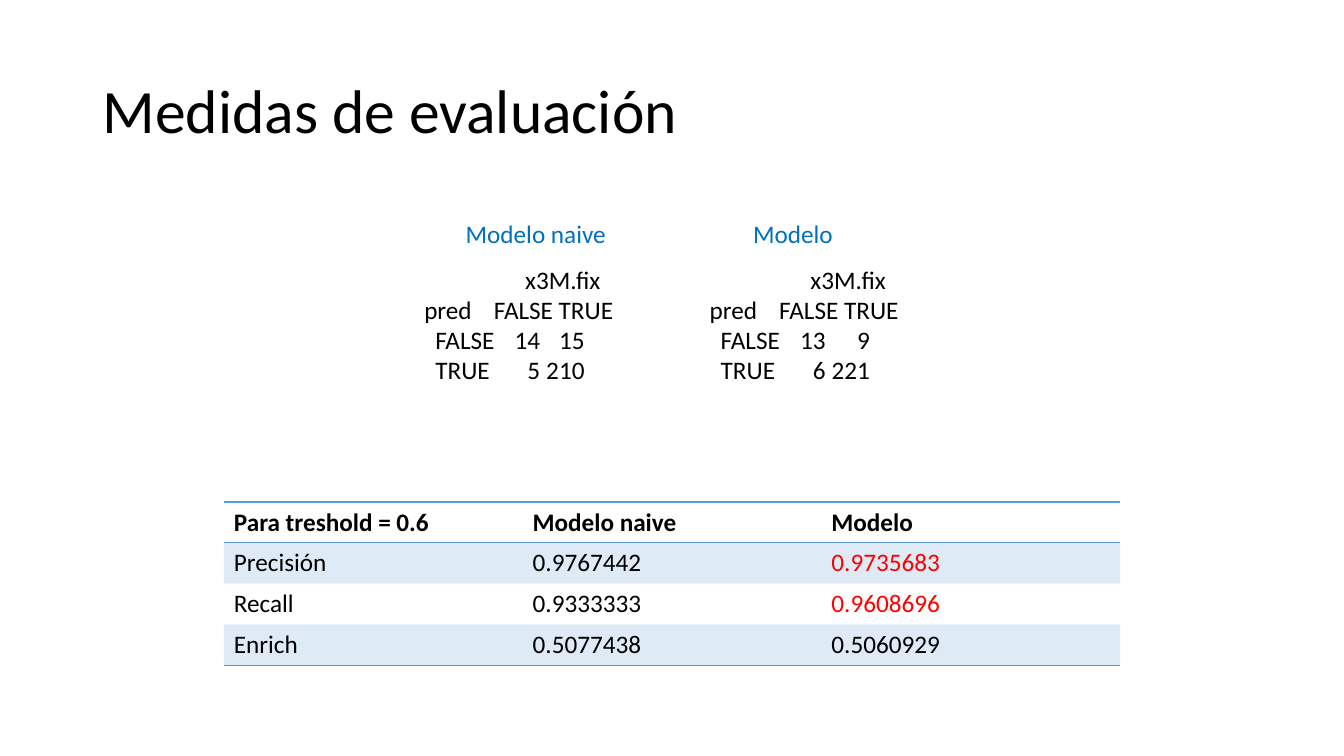
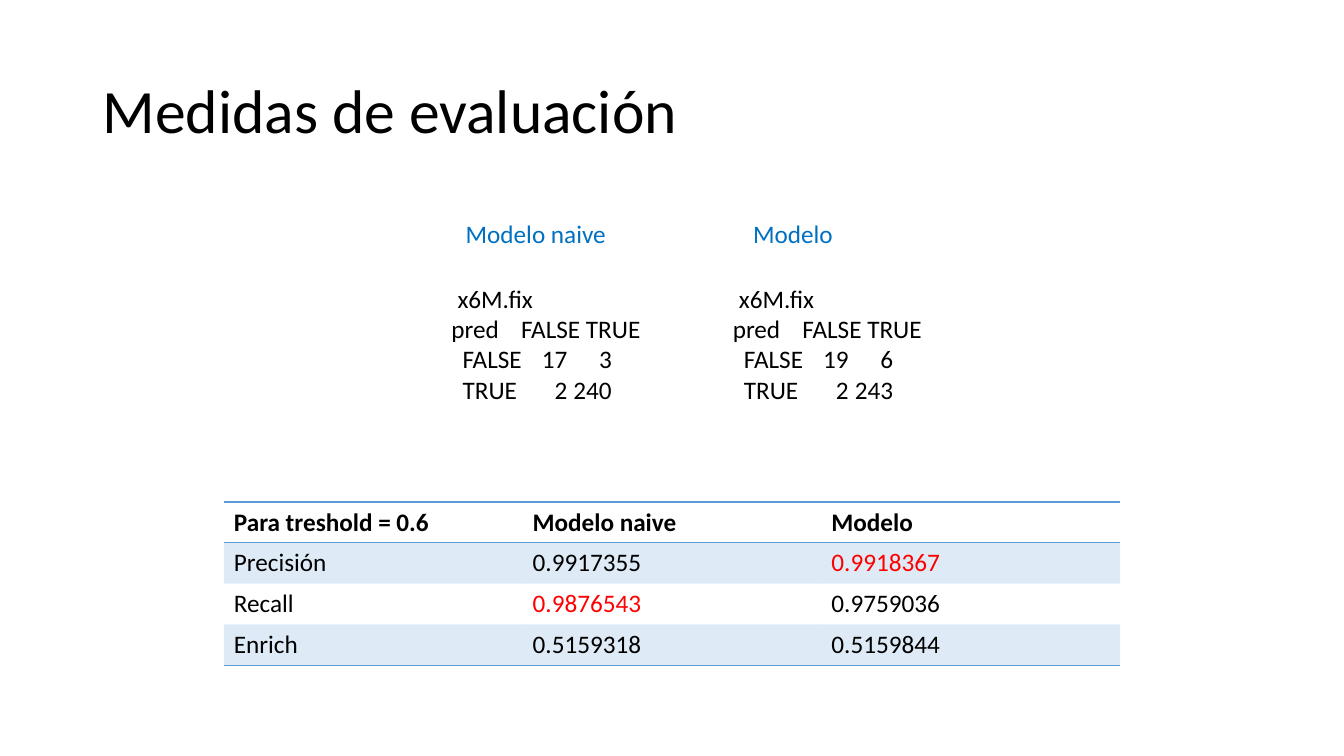
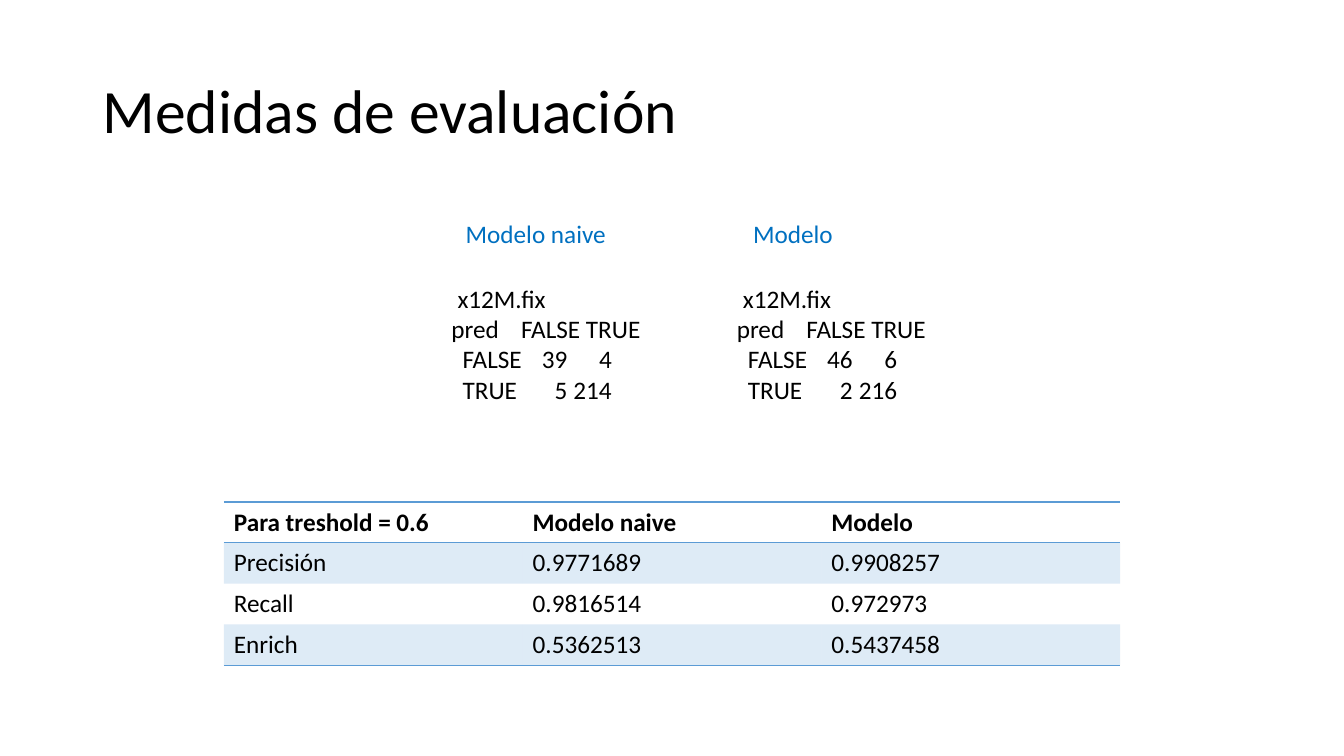
"""Build three slides that compare a naive model with the fitted model."""
from lxml import etree
from pptx import Presentation
from pptx.dml.color import RGBColor
from pptx.enum import text
from pptx.oxml.ns import qn
from pptx.util import Inches, Pt

FONT = "Calibri"
BLACK = RGBColor(0x00, 0x00, 0x00)
BLUE = RGBColor(0x00, 0x70, 0xC0)
ACCENT = RGBColor(0x5B, 0x9B, 0xD5)
RED = RGBColor(0xFF, 0x00, 0x00)
NO_STYLE = "{2D5ABB26-0587-4C30-8999-92F81FD0307C}"
TITLE = "Medidas de evaluación"
HEADER = ("Para treshold = 0.6", "Modelo naive", "Modelo")
MEASURES = ("Precisión", "Recall", "Enrich")
MATRIX_WIDTH = 2.2

SLIDES = [
    {"name": "x3M.fix", "indent": 1.0, "top": 2.57, "lefts": (4.11, 6.94),
     "counts": ((14, 15, 5, 210), (13, 9, 6, 221)),
     "naive": ("0.9767442", "0.9333333", "0.5077438"),
     "model": ("0.9735683", "0.9608696", "0.5060929"),
     "red": {(1, 2), (2, 2)}},
    {"name": "x6M.fix", "indent": 0.06, "top": 2.76, "lefts": (4.38, 7.17),
     "counts": ((17, 3, 2, 240), (19, 6, 2, 243)),
     "naive": ("0.9917355", "0.9876543", "0.5159318"),
     "model": ("0.9918367", "0.9759036", "0.5159844"),
     "red": {(1, 2), (2, 1)}},
    {"name": "x12M.fix", "indent": 0.06, "top": 2.76, "lefts": (4.38, 7.21),
     "counts": ((39, 4, 5, 214), (46, 6, 2, 216)),
     "naive": ("0.9771689", "0.9816514", "0.5362513"),
     "model": ("0.9908257", "0.972973", "0.5437458"),
     "red": set()},
]


def format_runs(p, size, color, bold=False):
    """Apply the shared font to every run of a paragraph."""
    for r in p.runs:
        r.font.name = FONT
        r.font.size = Pt(size)
        r.font.bold = bold
        r.font.color.rgb = color


def add_text(s, box, content, size=18, color=BLACK):
    """Add a wrapped text box and return its text frame."""
    tf = s.shapes.add_textbox(*map(Inches, box)).text_frame
    tf.word_wrap = True
    tf.text = content
    for p in tf.paragraphs:
        format_runs(p, size, color)
    return tf


def add_title(s):
    """Add the slide title."""
    tf = add_text(s, (0.92, 0.4, 11.5, 1.45), TITLE, 44)
    tf.vertical_anchor = text.MSO_ANCHOR.MIDDLE
    tf.paragraphs[0].line_spacing = 0.9


def set_tabs(p, stops):
    """Give a paragraph tab stops as (inches, alignment) pairs."""
    tabs = etree.SubElement(p._p.get_or_add_pPr(), qn("a:tabLst"))
    for position, align in stops:
        etree.SubElement(tabs, qn("a:tab"), pos=str(Inches(position)), algn=align)


def add_matrix(s, left, top, name, indent, counts):
    """Add a confusion matrix laid out with tab stops."""
    ff, ft, tf_count, tt = counts
    lines = (f"\t{name}", "pred\tFALSE TRUE",
             f"\tFALSE\t{ff}\t{ft}", f"\tTRUE\t{tf_count}\t{tt}")
    row_stops = [(0.11, "l"), (1.15, "r"), (1.59, "r")]
    stops = ([(indent, "l")], [(0.69, "l")], row_stops, row_stops)
    tf = add_text(s, (left, top, MATRIX_WIDTH, 1.31), "\n".join(lines))
    for p, line_stops in zip(tf.paragraphs, stops):
        set_tabs(p, line_stops)


def add_border(cell, side):
    """Draw a one-point accent border on one side of a cell."""
    ln = etree.SubElement(cell._tc.get_or_add_tcPr(), qn(f"a:{side}"), w=str(Pt(1)))
    fill = etree.SubElement(ln, qn("a:solidFill"))
    etree.SubElement(fill, qn("a:srgbClr"), val=str(ACCENT))


def fill_band(cell):
    """Fill a cell with the accent colour at 20 % opacity."""
    cell.fill.solid()
    cell.fill.fore_color.rgb = ACCENT
    color = cell._tc.tcPr.find(f".//{qn('a:srgbClr')}[last()]")
    for color in cell._tc.tcPr.findall(f"{qn('a:solidFill')}/{qn('a:srgbClr')}"):
        etree.SubElement(color, qn("a:alpha"), val="20000")


def add_measures(s, naive, model, red):
    """Add the table of measures, with the cells in red highlighted."""
    rows = [HEADER, *zip(MEASURES, naive, model)]
    frame = s.shapes.add_table(len(rows), len(HEADER), Inches(2.22), Inches(4.98),
                               Inches(8.89), Inches(1.62))
    frame._element.find(f".//{qn('a:tableStyleId')}").text = NO_STYLE
    table = frame.table
    for i, row in enumerate(rows):
        for j, value in enumerate(row):
            cell = table.cell(i, j)
            cell.text = value
            color = RED if (i, j) in red else BLACK
            format_runs(cell.text_frame.paragraphs[0], 18, color, i == 0)
            if i == 0:
                add_border(cell, "lnT")
            if i in (0, len(rows) - 1):
                add_border(cell, "lnB")
            if i % 2:
                fill_band(cell)
            else:
                cell.fill.background()


def add_evaluation(prs, data):
    """Add one evaluation slide."""
    s = prs.slides.add_slide(prs.slide_layouts[6])
    add_title(s)
    add_text(s, (4.52, 2.12, 2.38, 0.4), "Modelo naive", color=BLUE)
    add_text(s, (7.37, 2.12, 1.05, 0.4), "Modelo", color=BLUE)
    for left, counts in zip(data["lefts"], data["counts"]):
        add_matrix(s, left, data["top"], data["name"], data["indent"], counts)
    add_measures(s, data["naive"], data["model"], data["red"])


def main():
    """Build and save the presentation."""
    prs = Presentation()
    prs.slide_width, prs.slide_height = Inches(13.33), Inches(7.5)
    for data in SLIDES:
        add_evaluation(prs, data)
    prs.save("out.pptx")


main()
